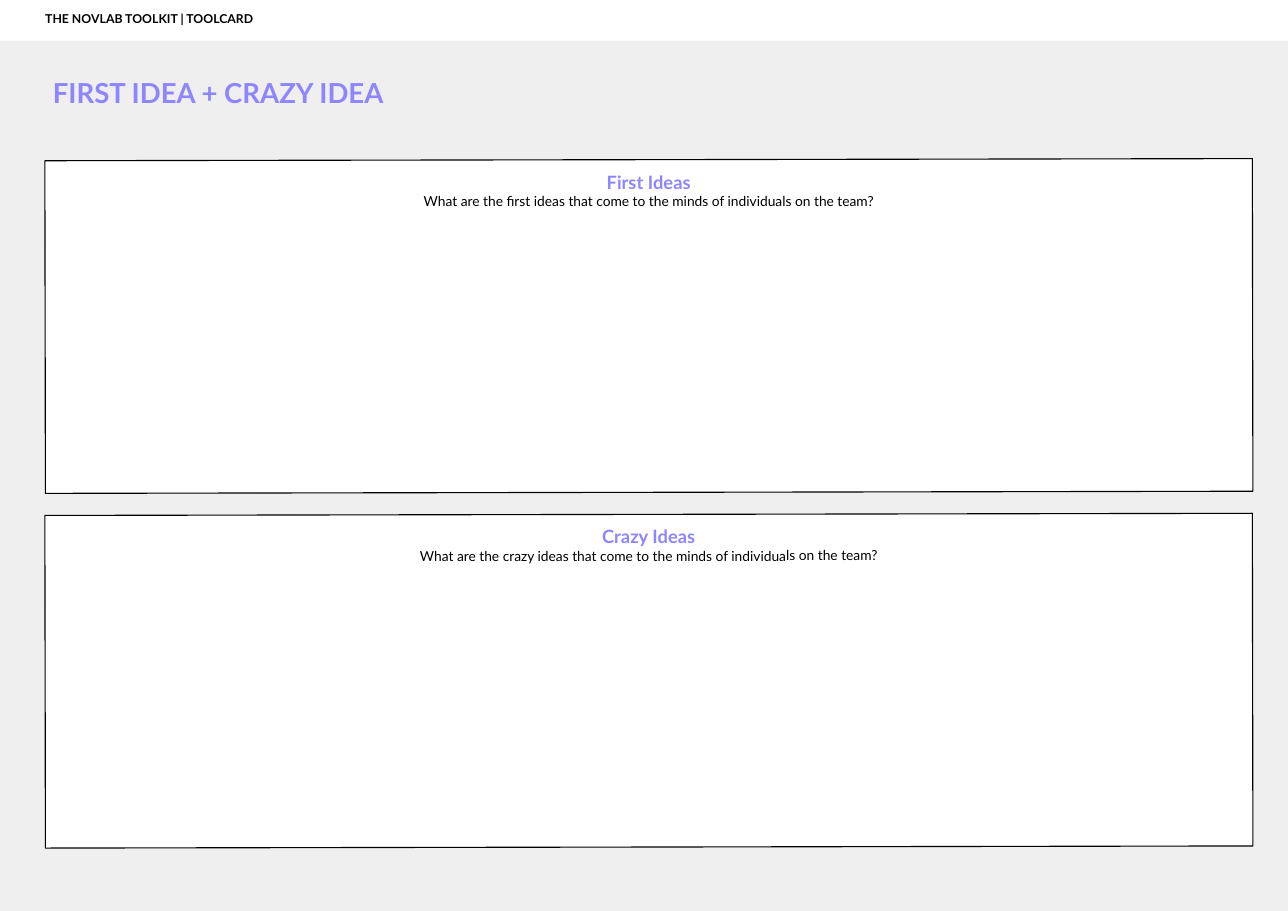
from pptx import Presentation
from pptx.dml.color import RGBColor
from pptx.enum.shapes import MSO_SHAPE
from pptx.enum.text import MSO_ANCHOR, PP_ALIGN
from pptx.util import Inches, Pt

RECTANGLE = MSO_SHAPE.RECTANGLE
TOP = MSO_ANCHOR.TOP
LEFT, CENTER = PP_ALIGN.LEFT, PP_ALIGN.CENTER

WHITE = RGBColor(0xFF, 0xFF, 0xFF)
BLACK = RGBColor(0x00, 0x00, 0x00)
GREY = RGBColor(0xEF, 0xEF, 0xEF)
VIOLET = RGBColor(0x8D, 0x86, 0xFC)

PAGE_WIDTH, PAGE_HEIGHT = 11.69, 8.27
INSET = 0.1

TITLE = {"size": Pt(18), "bold": True}, VIOLET
HEADING = {"size": Pt(12), "bold": True}, VIOLET
QUESTION = {"size": Pt(9), "bold": False}, BLACK
HEADER = {"size": Pt(8), "bold": True}, BLACK


def add_panel(page, left, top, width, height, fill, line=None):
    """Add a plain rectangle, outlined only when a line colour is given."""
    panel = page.shapes.add_shape(
        RECTANGLE, Inches(left), Inches(top), Inches(width), Inches(height))
    panel.shadow.inherit = False
    panel.fill.solid()
    panel.fill.fore_color.rgb = fill
    if line is None:
        panel.line.fill.background()
    else:
        panel.line.color.rgb = line
        panel.line.width = Pt(0.75)
    return panel


def write(box, lines, align=LEFT, left_inset=INSET):
    """Fill a box with one paragraph per (text, style) pair."""
    frame = box.text_frame
    layout = {
        "word_wrap": True, "vertical_anchor": TOP,
        "margin_left": Inches(left_inset), "margin_right": Inches(INSET),
        "margin_top": Inches(INSET), "margin_bottom": Inches(INSET),
    }
    for name, value in layout.items():
        setattr(frame, name, value)
    for index, (text, (style, color)) in enumerate(lines):
        para = frame.add_paragraph() if index else frame.paragraphs[0]
        para.alignment = align
        span = para.add_run()
        span.text = text
        for name, value in {"name": "Lato", **style}.items():
            setattr(span.font, name, value)
        span.font.color.rgb = color


def add_idea_panel(page, top, kind):
    panel = add_panel(page, 0.41, top, 10.96, 3.02, WHITE, BLACK)
    panel.rotation = 359.9
    question = (f"What are the {kind.lower()} ideas that come to the minds "
                "of individuals on the team?")
    write(panel, [(f"{kind} Ideas", HEADING), (question, QUESTION)], CENTER)


def main():
    deck = Presentation()
    deck.slide_width = Inches(PAGE_WIDTH)
    deck.slide_height = Inches(PAGE_HEIGHT)
    page = deck.slides.add_slide(deck.slide_layouts[6])

    # Grey backdrop
    add_panel(page, 0, 0, PAGE_WIDTH, PAGE_HEIGHT, GREY)

    # Title
    title = page.shapes.add_textbox(
        Inches(0), Inches(0.59), Inches(6.64), Inches(0.51))
    write(title, [("FIRST IDEA + CRAZY IDEA", TITLE)], left_inset=0.48)

    # Idea panels
    for index, kind in enumerate(("First", "Crazy")):
        add_idea_panel(page, 1.45 + index * 3.22, kind)

    # Header band
    header = add_panel(page, 0, 0, 11.71, 0.37, WHITE)
    write(header, [("THE NOVLAB TOOLKIT | TOOLCARD", HEADER)], left_inset=0.41)

    deck.save("out.pptx")


if __name__ == "__main__":
    main()
